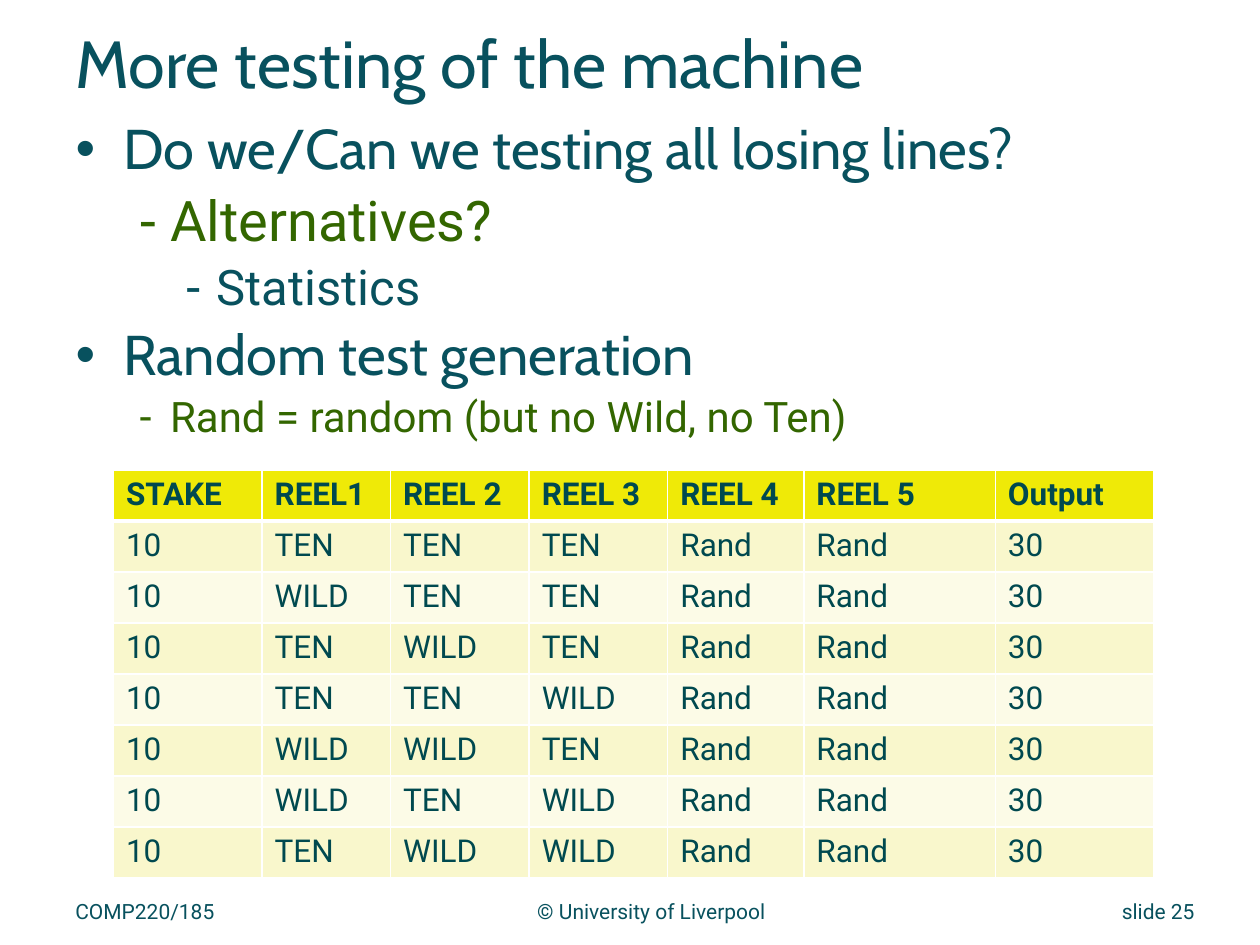
from lxml.etree import SubElement
from pptx import Presentation
from pptx.dml.color import RGBColor
from pptx.enum.text import MSO_ANCHOR, MSO_AUTO_SIZE, PP_ALIGN
from pptx.oxml.ns import qn
from pptx.util import Inches, Pt

COLORS = {
    "teal": "08515E", "green": "336600", "cell_text": "00494F",
    "header": "EFEA07", "band": "F9F7CC", "band_light": "FCFBE7",
    "rule": "FFFFFF",
}
HEADING, BODY = "Cabin", "Roboto"
COLS, ROWS = 100, 75  # layout grid of the slide

# Left margin and hanging indent in inches, and bullet, for each list level
LEVELS = [(0.38, 0.38, "•"), (0.75, 0.25, "-"), (1.12, 0.25, "-")]


def write(p, text, font=BODY, size=12, color="teal", bold=False, align=PP_ALIGN.LEFT):
    p.alignment = align
    r = p.add_run()
    r.text = text
    r.font.name = font
    r.font.size = Pt(size)
    r.font.bold = bold
    r.font.color.rgb = RGBColor.from_string(COLORS[color])


class Deck:
    def __init__(self):
        self.prs = Presentation()
        self.prs.slide_width, self.prs.slide_height = Inches(10), Inches(7.5)
        self.s = self.prs.slides.add_slide(self.prs.slide_layouts[1])

    def box(self, col, row, cols, rows):
        """Turn a grid area into left, top, width and height."""
        x, y = self.prs.slide_width / COLS, self.prs.slide_height / ROWS
        return [round(v) for v in (col * x, row * y, cols * x, rows * y)]

    def place(self, sp, area, anchor):
        sp.left, sp.top, sp.width, sp.height = self.box(*area)
        tf = sp.text_frame
        tf.word_wrap = True
        tf.auto_size = MSO_AUTO_SIZE.NONE
        tf.vertical_anchor = anchor
        return tf

    def title(self, text, area):
        tf = self.place(self.s.shapes.title, area, MSO_ANCHOR.MIDDLE)
        write(tf.paragraphs[0], text, font=HEADING, size=38)

    def bullets(self, items, area):
        tf = self.place(self.s.placeholders[1], area, MSO_ANCHOR.TOP)
        for i, (level, text, fmt) in enumerate(items):
            p = tf.add_paragraph() if i else tf.paragraphs[0]
            margin, hang, mark = LEVELS[level]
            p.level = level
            pPr = p._p.get_or_add_pPr()
            pPr.set("marL", str(Inches(margin)))
            pPr.set("indent", str(-Inches(hang)))
            SubElement(pPr, qn("a:buFont"), typeface="Arial")
            SubElement(pPr, qn("a:buChar"), char=mark)
            p.line_spacing = 0.9
            p.space_before = Pt(0.2 * fmt["size"] if i else 0)
            write(p, text, **fmt)

    def footer(self, text, area, align):
        sp = self.s.shapes.add_textbox(*self.box(*area))
        tf = self.place(sp, area, MSO_ANCHOR.TOP)
        write(tf.paragraphs[0], text, align=align)

    def borders(self, cell, **widths):
        tcPr = cell._tc.get_or_add_tcPr()
        for side in "LRTB":
            ln = SubElement(tcPr, qn(f"a:ln{side}"), w=str(Pt(widths.get(side, 1))))
            fill = SubElement(ln, qn("a:solidFill"))
            SubElement(fill, qn("a:srgbClr"), val=COLORS["rule"])

    def table(self, rows, widths, area):
        shape = self.s.shapes.add_table(len(rows), len(widths), *self.box(*area))
        table = shape.table
        for column, width in zip(table.columns, widths):
            column.width = self.box(0, 0, width, 0)[2]
        for i, row in enumerate(rows):
            fill = "header" if i == 0 else "band" if i % 2 else "band_light"
            # A heavier rule separates the header from the first data row
            heavy = {0: {"B": 3}, 1: {"T": 3}}.get(i, {})
            for j, text in enumerate(row):
                cell = table.cell(i, j)
                self.borders(cell, **heavy)
                cell.fill.solid()
                cell.fill.fore_color.rgb = RGBColor.from_string(COLORS[fill])
                write(cell.text_frame.paragraphs[0], text, size=18,
                      color="cell_text", bold=i == 0)


def main():
    deck = Deck()

    # Title and list
    deck.title("More testing of the machine", (5, 1.3, 90, 7.2))
    topic = {"font": HEADING, "size": 32}
    deck.bullets([
        (0, "Do we/Can we testing all losing lines?", topic),
        (1, "Alternatives?", {"size": 32, "color": "green"}),
        (2, "Statistics", {"size": 28}),
        (0, "Random test generation", topic),
        (1, "Rand = random (but no Wild, no Ten)", {"size": 24, "color": "green"}),
    ], (5, 9.1, 85.8, 50))

    # Test cases: only the first three reels vary
    header = ["STAKE", "REEL1", "REEL 2", "REEL 3", "REEL 4", "REEL 5", "Output"]
    reels = ["TEN TEN TEN", "WILD TEN TEN", "TEN WILD TEN", "TEN TEN WILD",
             "WILD WILD TEN", "WILD TEN WILD", "TEN WILD WILD"]
    cases = [["10", *line.split(), "Rand", "Rand", "30"] for line in reels]
    deck.table([header, *cases], [11.8, 10.2, 11, 11, 10.8, 15.2, 12.6],
               (9, 37.3, 82.6, 32.4))

    # Footer
    deck.footer("© University of Liverpool", (40, 70.8, 23.4, 4.2), PP_ALIGN.CENTER)
    deck.footer("COMP220/185", (5, 70.8, 33.3, 4.2), PP_ALIGN.LEFT)
    deck.footer("slide 25", (80.8, 70.8, 15, 3.3), PP_ALIGN.RIGHT)

    deck.prs.save("out.pptx")


if __name__ == "__main__":
    main()
